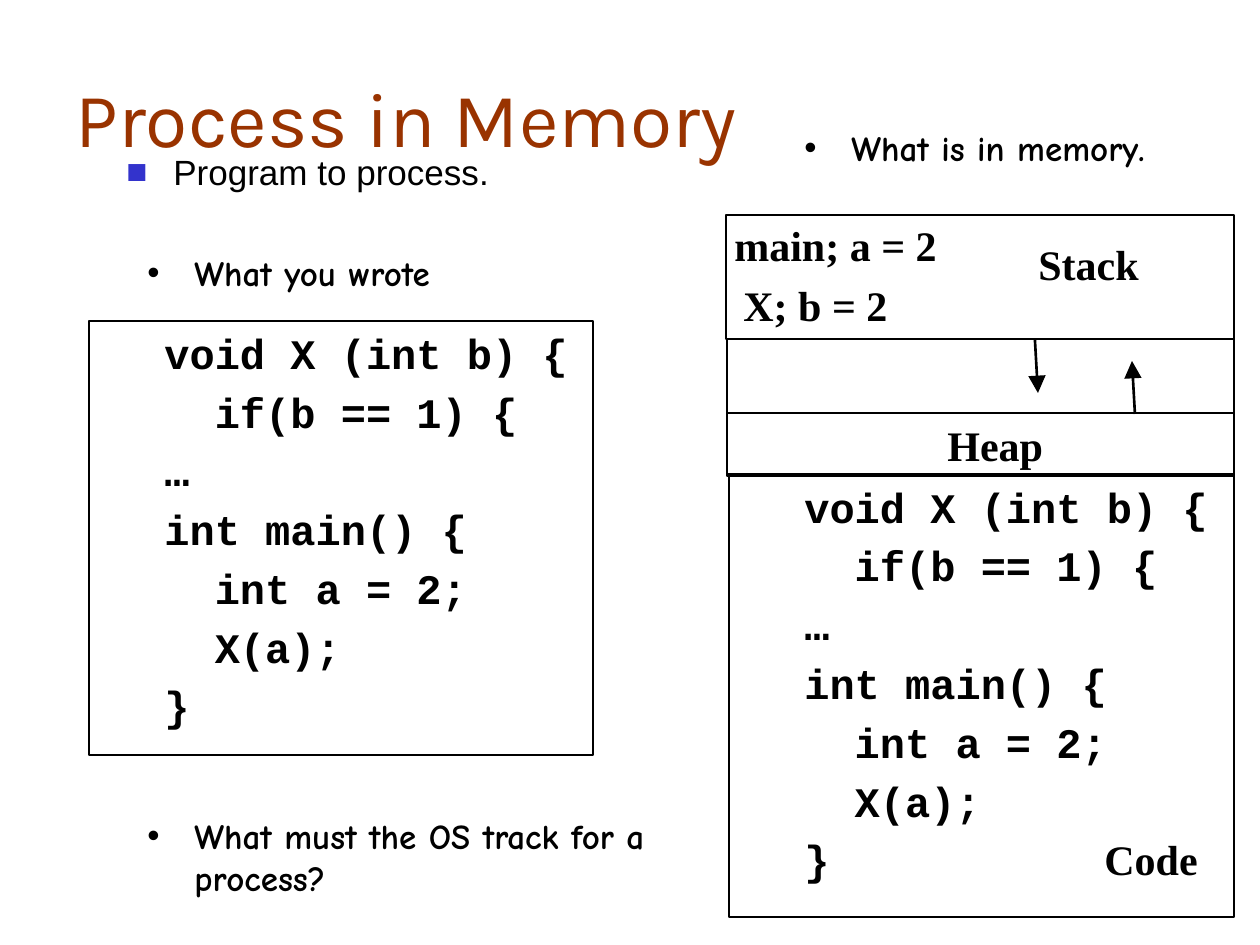
from lxml import etree
from pptx import Presentation
from pptx.dml.color import RGBColor
from pptx.enum.shapes import MSO_CONNECTOR, MSO_SHAPE
from pptx.enum.text import MSO_ANCHOR, PP_ALIGN
from pptx.oxml.ns import qn
from pptx.util import Emu, Pt

PX = 914400 // 126
BLACK = RGBColor(0x00, 0x00, 0x00)
RUST = RGBColor(0x99, 0x33, 0x00)
BLUE = RGBColor(0x33, 0x33, 0xCC)
LEFT = PP_ALIGN.LEFT
TOP, MIDDLE = MSO_ANCHOR.TOP, MSO_ANCHOR.MIDDLE
RECTANGLE = MSO_SHAPE.RECTANGLE
STRAIGHT = MSO_CONNECTOR.STRAIGHT

TITLE = {"name": "Karla", "size": Pt(44), "bold": False}
TOPIC = {"name": "Arial", "size": Pt(20), "bold": False}
POINT = {"name": "Comic Neue", "size": Pt(20), "bold": True}
CODE = {"name": "Courier New", "size": Pt(24), "bold": True}
LABEL = {"name": "Times New Roman", "size": Pt(24), "bold": True}

PROGRAM = ["void X (int b) {", "  if(b == 1) {", "…", "int main() {",
           "  int a = 2;", "  X(a);", "}"]
CODE_GAP = Pt(4.8)

POINTS = [
    ("What you wrote", (135, 245, 396, 60)),
    ("What is in memory.", (792, 120, 396, 60)),
    ("What must the OS track for a process?", (135, 808, 573, 94)),
]
CODE_BOXES = [(89, 321, 504, 434), (729, 475, 505, 442)]
MEMORY_REGIONS = [(727, 339, 507, 135), (726, 215, 508, 124), (727, 413, 507, 63)]
LABELS = [
    ("Code", (1092, 827, 126, 63)),
    ("main; a = 2", (722, 213, 252, 63)),
    ("X; b = 2", (731, 273, 216, 63)),
    ("Heap", (935, 413, 130, 63)),
    ("Stack", (1026, 232, 135, 63)),
]
GROWTH_ARROWS = [(1135, 414, 1132, 361), (1035, 340, 1038, 393)]


def px(*lengths):
    return [Emu(length * PX) for length in lengths]


def write_lines(frame, lines, style, color=BLACK):
    frame.word_wrap = True
    for index, line in enumerate(lines):
        paragraph = frame.paragraphs[0] if index == 0 else frame.add_paragraph()
        paragraph.alignment = LEFT
        run = paragraph.add_run()
        run.text = line
        run.font.color.rgb = color
        for attribute, value in style.items():
            setattr(run.font, attribute, value)


def indent(paragraph, margin, hanging):
    properties = paragraph._p.get_or_add_pPr()
    for name, length in (("marL", margin), ("indent", -hanging)):
        properties.set(name, str(length * PX))
    return properties


def add_title(slide, text, box):
    title = slide.shapes.title
    title.left, title.top, title.width, title.height = px(*box)
    title.text_frame.vertical_anchor = MIDDLE
    write_lines(title.text_frame, [text], TITLE, RUST)


def add_text(slide, text, box, style):
    shape = slide.shapes.add_textbox(*px(*box))
    write_lines(shape.text_frame, [text], style)
    return shape


def add_bullet(slide, text, box, style, mark, color):
    shape = add_text(slide, text, box, style)
    properties = indent(shape.text_frame.paragraphs[0], 47, 47)
    bullet_color = etree.SubElement(properties, qn("a:buClr"))
    etree.SubElement(bullet_color, qn("a:srgbClr"), val=str(color))
    etree.SubElement(properties, qn("a:buFont"), typeface="Arial")
    etree.SubElement(properties, qn("a:buChar"), char=mark)


def add_frame(slide, box):
    shape = slide.shapes.add_shape(RECTANGLE, *px(*box))
    shape.shadow.inherit = False
    shape.fill.background()
    shape.line.color.rgb = BLACK
    shape.line.width = Pt(1)
    return shape


def add_code(slide, box):
    frame = add_frame(slide, box).text_frame
    frame.vertical_anchor = TOP
    write_lines(frame, PROGRAM, CODE)
    for paragraph in frame.paragraphs:
        indent(paragraph, 102, 39)
        paragraph.space_before = CODE_GAP


def add_arrow(slide, ends):
    arrow = slide.shapes.add_connector(STRAIGHT, *px(*ends))
    arrow.line.color.rgb = BLACK
    arrow.line.width = Pt(1.5)
    etree.SubElement(arrow.line._get_or_add_ln(), qn("a:tailEnd"),
                     type="triangle", w="lg", len="lg")
    etree.SubElement(arrow._element.spPr, qn("a:effectLst"))


def main():
    presentation = Presentation()
    presentation.slide_width, presentation.slide_height = px(1260, 945)
    slide = presentation.slides.add_slide(presentation.slide_layouts[5])

    add_title(slide, "Process in Memory", (63, 38, 1134, 157))
    add_bullet(slide, "Program to process.", (114, 144, 1071, 60), TOPIC, "■", BLUE)
    for text, box in POINTS:
        add_bullet(slide, text, box, POINT, "•", BLACK)
    for box in CODE_BOXES:
        add_code(slide, box)
    for box in MEMORY_REGIONS:
        add_frame(slide, box)
    for text, box in LABELS:
        add_text(slide, text, box, LABEL)
    for ends in GROWTH_ARROWS:
        add_arrow(slide, ends)

    presentation.save("out.pptx")


if __name__ == "__main__":
    main()
